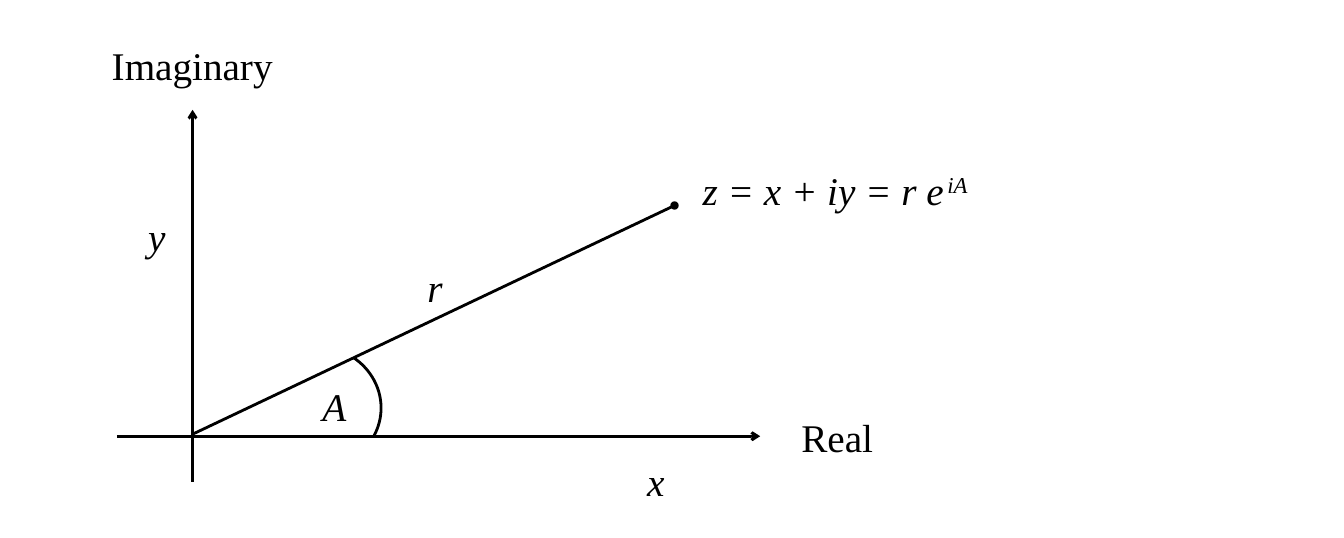
from lxml.etree import SubElement
from pptx import Presentation
from pptx.dml.color import RGBColor
from pptx.enum.shapes import MSO_CONNECTOR as Connector, MSO_SHAPE as Shape
from pptx.enum.text import MSO_AUTO_SIZE as AutoSize
from pptx.oxml.ns import qn
from pptx.util import Inches, Pt

COLORS = {"ink": "000000", "background": "FFFFFF"}
FONT = {"name": "Times New Roman", "size": Pt(28), "italic": True}
LABEL_HEIGHT = 0.57

# Lines: start, end, end mark
LINES = {
    "real axis": ((0.16, 4.03), (6.54, 4.03), "arrow"),
    "imaginary axis": ((0.91, 4.48), (0.91, 0.79), "arrow"),
    "radius": ((0.91, 4.01), (5.69, 1.74), "oval"),
}

# Labels: left, top, width, runs of (text, format changes)
UPRIGHT = {"italic": False}
LABELS = [
    (6.85, 3.75, 0.92, [("Real", UPRIGHT)]),
    (5.32, 4.19, 0.38, [("x", {})]),
    (0.01, 0.06, 1.81, [("Imaginary", UPRIGHT)]),
    (0.37, 1.76, 0.38, [("y", {})]),
    (3.14, 2.26, 0.35, [("r", {})]),
    (5.87, 1.30, 2.88, [("z = x + iy = r e", {}), (" ", {"size": Pt(10)}),
                        ("iA", {"baseline": 30000})]),
    (2.10, 3.45, 0.44, [("A", {})]),
]


def ink():
    return RGBColor.from_string(COLORS["ink"])


def style_line(shape):
    shape.line.color.rgb = ink()
    shape.line.width = Pt(2)


def add_line(slide, left, top, start, end, mark):
    points = [Inches(base + offset) for point in (start, end)
              for base, offset in zip((left, top), point)]
    connector = slide.shapes.add_connector(Connector.STRAIGHT, *points)
    style_line(connector)
    SubElement(connector.line._get_or_add_ln(), qn("a:tailEnd"), type=mark)
    SubElement(connector._element.spPr, qn("a:effectLst"))


def add_label(slide, left, top, width, runs):
    label = slide.shapes.add_textbox(
        Inches(left), Inches(top), Inches(width), Inches(LABEL_HEIGHT))
    frame = label.text_frame
    frame.word_wrap = False
    frame.auto_size = AutoSize.SHAPE_TO_FIT_TEXT
    for text, changes in runs:
        run = frame.paragraphs[0].add_run()
        run.text = text
        run.font.color.rgb = ink()
        for name, value in {**FONT, **changes}.items():
            if name == "baseline":
                run.font._element.set(name, str(value))
            else:
                setattr(run.font, name, value)


def add_angle(slide, left, top):
    arc = slide.shapes.add_shape(
        Shape.ARC, Inches(left), Inches(top), Inches(1.34), Inches(1.24))
    arc.shadow.inherit = False
    arc.fill.background()
    style_line(arc)
    # Start and end angles, in units of 100000/60000 degrees
    arc.adjustments[0] = 185.2
    arc.adjustments[1] = 14.69


def add_complex_plane(slide, left, top):
    for start, end, mark in LINES.values():
        add_line(slide, left, top, start, end, mark)
    add_angle(slide, left + 1.44, top + 3.13)
    for across, down, width, runs in LABELS:
        add_label(slide, left + across, top + down, width, runs)


def main():
    presentation = Presentation()
    presentation.slide_width = Inches(13.33)
    presentation.slide_height = Inches(5.34)
    slide = presentation.slides.add_slide(presentation.slide_layouts[6])
    slide.background.fill.solid()
    slide.background.fill.fore_color.rgb = RGBColor.from_string(COLORS["background"])
    add_complex_plane(slide, 1, 0.3)
    presentation.save("out.pptx")


if __name__ == "__main__":
    main()
